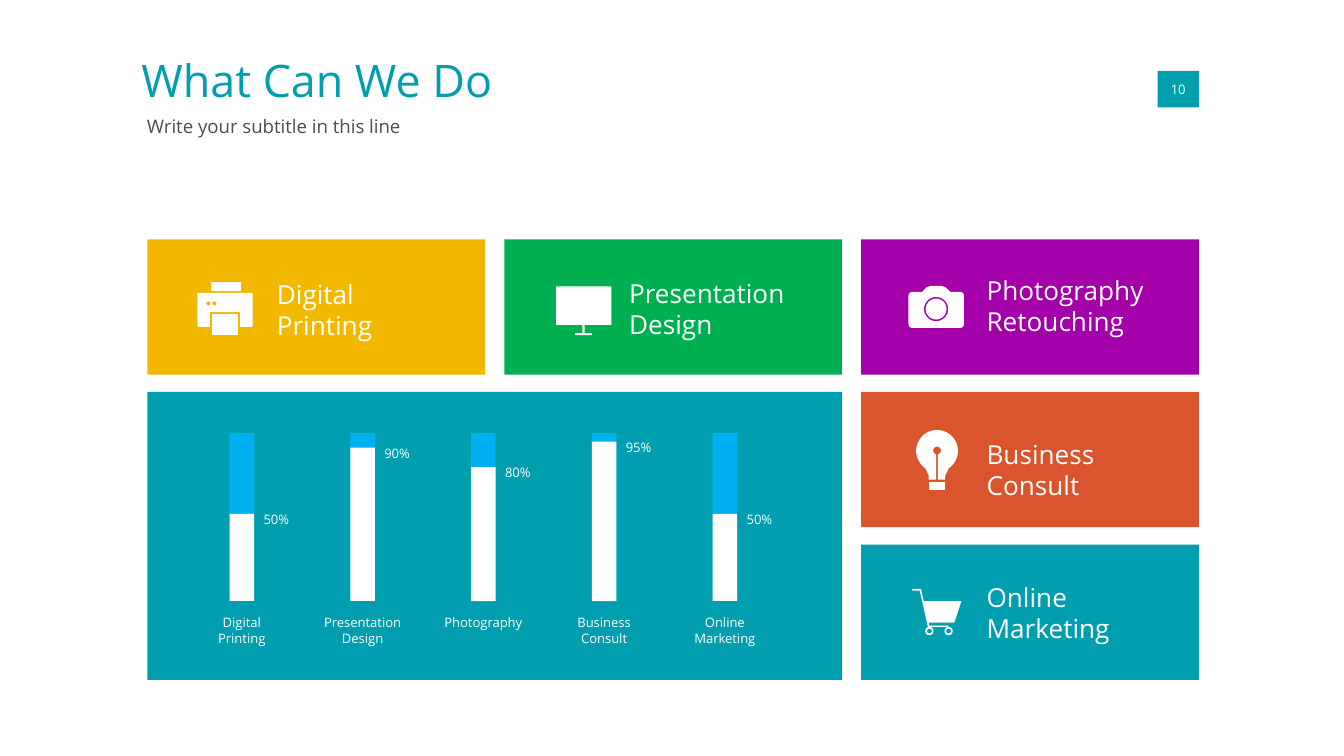
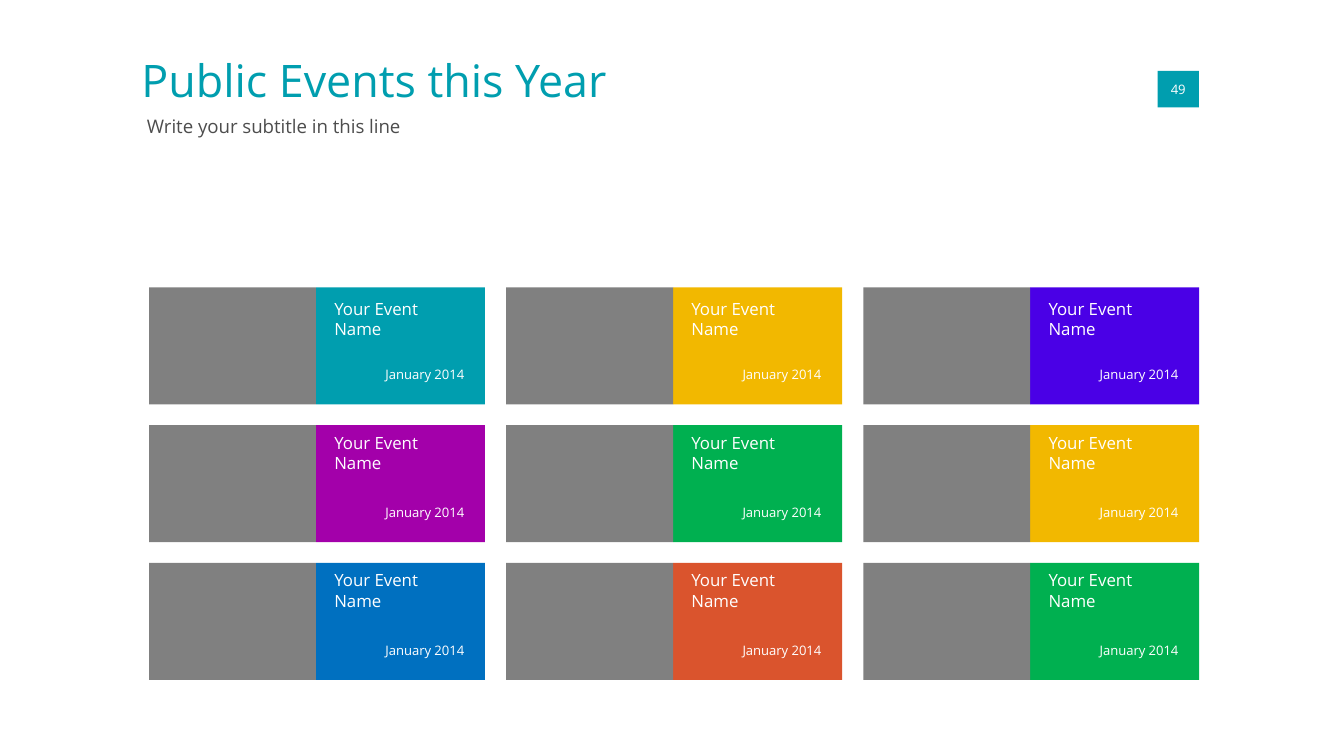
from math import cos, radians, sin

from pptx import Presentation
from pptx.dml.color import RGBColor
from pptx.enum.shapes import MSO_SHAPE as Preset
from pptx.enum.text import MSO_ANCHOR as Anchor
from pptx.enum.text import MSO_AUTO_SIZE as AutoSize
from pptx.enum.text import PP_ALIGN as Align
from pptx.util import Pt

FONT = "Open Sans"
WHITE, GRAY, DARK = "FFFFFF", "808080", "4D4D4D"
TEAL, GOLD, GREEN, PURPLE = "009EAF", "F2B800", "00B050", "A300AA"
ORANGE, INDIGO, BLUE, SKY = "DA542D", "4A00E6", "0070C0", "00B0F0"

TILE_LEFT, TILE_TOP = 79, 128.2
TILE_WIDTH, TILE_HEIGHT = 180.9, 72.5
TILE_STEP_X, TILE_STEP_Y = 191.2, 81.8

BAR_LEFT, BAR_TOP, BAR_STEP = 123, 232, 64.7
BAR_WIDTH, BAR_HEIGHT = 13.2, 90

CARD_LEFT, CARD_TOP = 79.9, 154
CARD_STEP_X, CARD_STEP_Y = 191.3, 73.8
PHOTO_WIDTH, EVENT_WIDTH, CARD_HEIGHT = 89.4, 90.5, 62.7


def paint(fill, color):
    fill.solid()
    fill.fore_color.rgb = RGBColor.from_string(color)


def finish(shape, color):
    paint(shape.fill, color)
    shape.line.fill.background()
    shape.shadow.inherit = False


def add_block(slide, left, top, width, height, color):
    block = slide.shapes.add_shape(
        Preset.RECTANGLE, Pt(left), Pt(top), Pt(width), Pt(height))
    finish(block, color)


def write(frame, lines, size, color=WHITE, align=Align.LEFT, inset=0,
          anchor=Anchor.TOP, wrap=True):
    frame.auto_size = AutoSize.NONE
    frame.word_wrap = wrap
    frame.vertical_anchor = anchor
    frame.margin_left = frame.margin_right = Pt(inset)
    frame.margin_top = frame.margin_bottom = Pt(inset)
    for index, line in enumerate(lines):
        paragraph = frame.add_paragraph() if index else frame.paragraphs[0]
        paragraph.alignment = align
        run = paragraph.add_run()
        run.text = line
        run.font.name = FONT
        run.font.size = Pt(size)
        paint(run.font.fill, color)


def add_label(slide, left, top, width, height, lines, size, **style):
    label = slide.shapes.add_textbox(Pt(left), Pt(top), Pt(width), Pt(height))
    write(label.text_frame, lines, size, **style)


def box(left, top, right, bottom):
    return [(left, top), (right, top), (right, bottom), (left, bottom)]


def arc(x, y, radius, start=0, end=360, steps=32):
    angles = [radians(start + (end - start) * i / steps) for i in range(steps + 1)]
    return [(x + radius * cos(a), y + radius * sin(a)) for a in angles]


def rounded(left, top, right, bottom, radius):
    corners = [(right - radius, bottom - radius), (left + radius, bottom - radius),
               (left + radius, top + radius), (right - radius, top + radius)]
    return [arc(x, y, radius, 90 * i, 90 * i + 90, 6)
            for i, (x, y) in enumerate(corners)]


def add_outline(slide, left, top, contours):
    placed = [[(Pt(left + x), Pt(top + y)) for x, y in contour]
              for contour in contours]
    builder = slide.shapes.build_freeform(*placed[0][0])
    for index, contour in enumerate(placed):
        if index:
            builder.move_to(*contour[0])
        builder.add_line_segments(contour[1:], close=True)
    finish(builder.convert_to_shape(), WHITE)


def printer():
    body = [(0.5, 5.8), (29.2, 5.8), (29.7, 6.3), (29.7, 23.5), (29.2, 24),
            (22.9, 24), (22.9, 16.1), (6.8, 16.1), (6.8, 24), (0.5, 24),
            (0, 23.5), (0, 6.3)]
    lights = [arc(x, 11.5, 1.1) for x in (6, 9.2)]
    return [[box(7.4, 0, 23.4, 4.6)], [box(8, 17.1, 21.8, 28.4)], [body, *lights]]


def monitor():
    return [[[(0, 0), (29.6, 0), (29.6, 20.6), (15.3, 20.6), (15.3, 25),
              (19.3, 25), (19.3, 26.1), (10.2, 26.1), (10.2, 25), (14.1, 25),
              (14.1, 20.6), (0, 20.6)]]]


def camera():
    low_right, low_left, top_left, top_right = rounded(0, 3.2, 29.7, 22.5, 2)
    hump = [(7.2, 3.2), (9.8, 0.7), (11.8, 0), (17.8, 0), (19.8, 0.7), (22.4, 3.2)]
    body = low_right + low_left + top_left + hump + top_right
    return [[body, arc(14.8, 12.4, 6.5)], [arc(14.8, 12.4, 5.6)]]


def bulb():
    glass = [(6.7, 26.6), (10.7, 26.6), *arc(11.2, 11, 2.1, 104, 436),
             (11.7, 26.6), (15.6, 26.6), (15.6, 24.4), (17.4, 20.6),
             *arc(11.2, 11.2, 11.2, 50, -230), (5, 20.6), (6.7, 24.4)]
    return [[glass], [box(6.7, 27.8, 15.6, 32.2)]]


def cart():
    basket = [(26.4, 6.5), (6.2, 6.5), (4.7, 0), (0, 0), (0, 0.9), (4, 0.9),
              (8.4, 20.4), (19.4, 20.4), (19.4, 19.7), (9.3, 19.7), (8.8, 18),
              (22.6, 18)]
    wheels = [arc(x, 22.6, radius) for x in (9.2, 19.5) for radius in (2.2, 1.3)]
    return [[basket, *wheels]]


SERVICES = [
    (0, 0, GOLD, printer, (105.7, 151.1), (148.3, 149), ["Digital", "Printing"]),
    (1, 0, GREEN, monitor, (297.9, 153.4), (337, 148.4), ["Presentation", "Design"]),
    (2, 0, PURPLE, camera, (486.7, 153.2), (528.5, 146.8), ["Photography", "Retouching"]),
    (2, 1, ORANGE, bulb, (490.8, 230.4), (528.5, 234.7), ["Business", "Consult"]),
    (2, 2, TEAL, cart, (488.7, 315.5), (528.5, 311.2), ["Online", "Marketing"]),
]
SKILLS = [
    (["Digital", "Printing"], "50%", 46.7),
    (["Presentation", "Design"], "90%", 82.2),
    (["Photography"], "80%", 71.8),
    (["Business", "Consult"], "95%", 85.4),
    (["Online Marketing"], "50%", 46.7),
]
EVENT_ROWS = [
    ([TEAL, GOLD, INDIGO], 5.8),
    ([PURPLE, GREEN, GOLD], 4),
    ([BLUE, ORANGE, GREEN], 3.8),
]


def start_slide(deck, heading, number):
    slide = deck.slides.add_slide(deck.slide_layouts[5])
    title = slide.shapes.title
    title.left, title.top, title.width, title.height = map(Pt, (75.8, 28, 342.7, 35.3))
    write(title.text_frame, [heading], 24, color=TEAL)
    add_label(slide, 78.7, 61.3, 497.5, 16.6,
              ["Write your subtitle in this line"], 10, color=DARK)
    add_block(slide, 620.2, 38, 22.1, 19.5, TEAL)
    add_label(slide, 627.2, 43.3, 8, 8.6, [number], 7, align=Align.CENTER,
              anchor=Anchor.MIDDLE, wrap=False)
    return slide


def add_service(slide, column, row, color, icon, icon_at, label_at, lines):
    add_block(slide, TILE_LEFT + column * TILE_STEP_X, TILE_TOP + row * TILE_STEP_Y,
              TILE_WIDTH, TILE_HEIGHT, color)
    for contours in icon():
        add_outline(slide, *icon_at, contours)
    add_label(slide, *label_at, 94.3, 39.6, lines, 14)


def add_skill(slide, index, caption, value, level):
    left = BAR_LEFT + index * BAR_STEP
    level_top = BAR_TOP + BAR_HEIGHT - level
    add_block(slide, left, BAR_TOP, BAR_WIDTH, BAR_HEIGHT, SKY)
    add_block(slide, left, level_top, BAR_WIDTH, level, WHITE)
    add_label(slide, left - 20.8, 326.2, 54.7, 22.3, caption, 7,
              align=Align.CENTER, inset=2.9)
    add_label(slide, left + 16.8, level_top - 2.8, 28, 22, [value], 7, inset=1.4)


def add_event(slide, column, row, color, name_offset):
    left = CARD_LEFT + column * CARD_STEP_X
    top = CARD_TOP + row * CARD_STEP_Y
    add_block(slide, left + PHOTO_WIDTH, top, EVENT_WIDTH, CARD_HEIGHT, color)
    add_label(slide, left + 106.8, top + 42.5, 62, 16.6, ["January 2014"], 7,
              align=Align.RIGHT)
    add_label(slide, left + 99.2, top + name_offset, 70.6, 36, ["Your Event Name"], 9)
    add_block(slide, left, top, PHOTO_WIDTH, CARD_HEIGHT, GRAY)


def build_services(deck):
    slide = start_slide(deck, "What Can We Do", "10")
    for service in SERVICES:
        add_service(slide, *service)
    add_block(slide, TILE_LEFT, TILE_TOP + TILE_STEP_Y, TILE_STEP_X + TILE_WIDTH,
              TILE_STEP_Y + TILE_HEIGHT, TEAL)
    for index, skill in enumerate(SKILLS):
        add_skill(slide, index, *skill)


def build_events(deck):
    slide = start_slide(deck, "Public Events this Year", "49")
    for row, (colors, name_offset) in enumerate(EVENT_ROWS):
        for column, color in enumerate(colors):
            add_event(slide, column, row, color, name_offset)


def main():
    deck = Presentation()
    deck.slide_width, deck.slide_height = Pt(720), Pt(405)
    build_services(deck)
    build_events(deck)
    deck.save("out.pptx")


if __name__ == "__main__":
    main()
